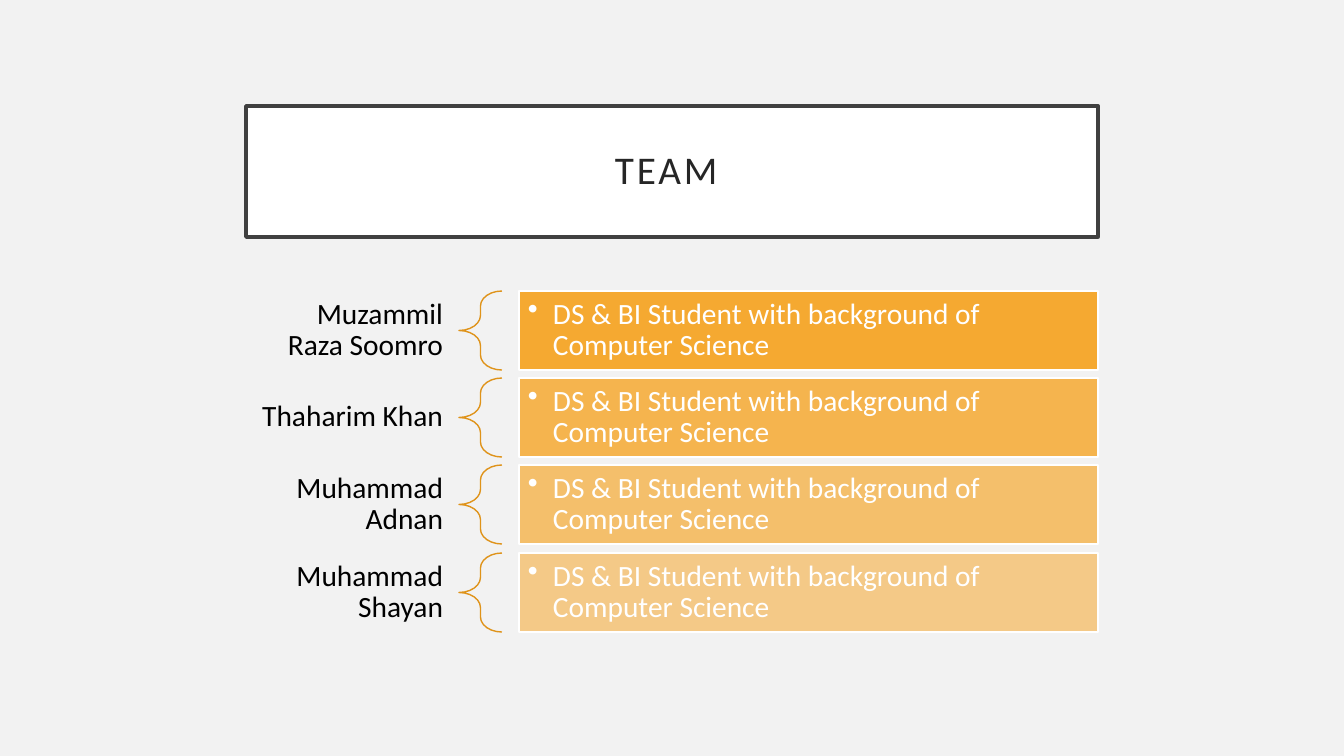
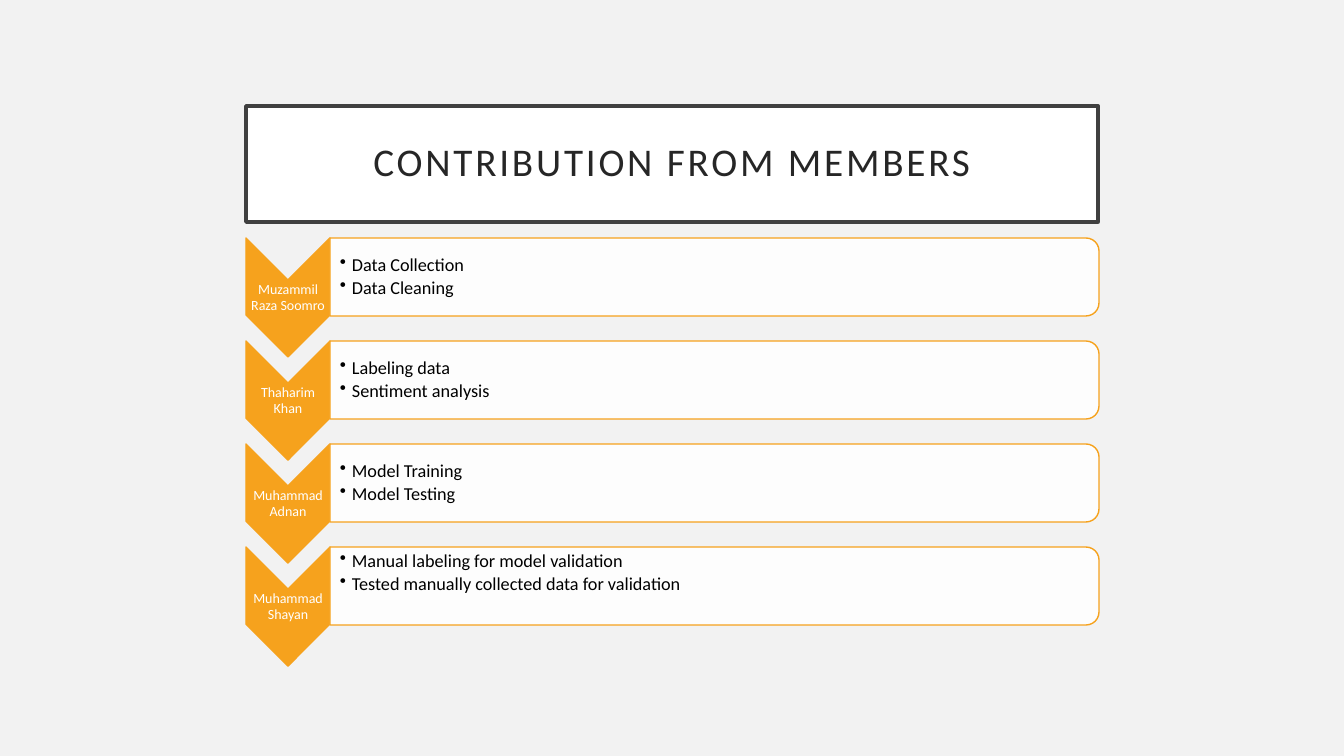
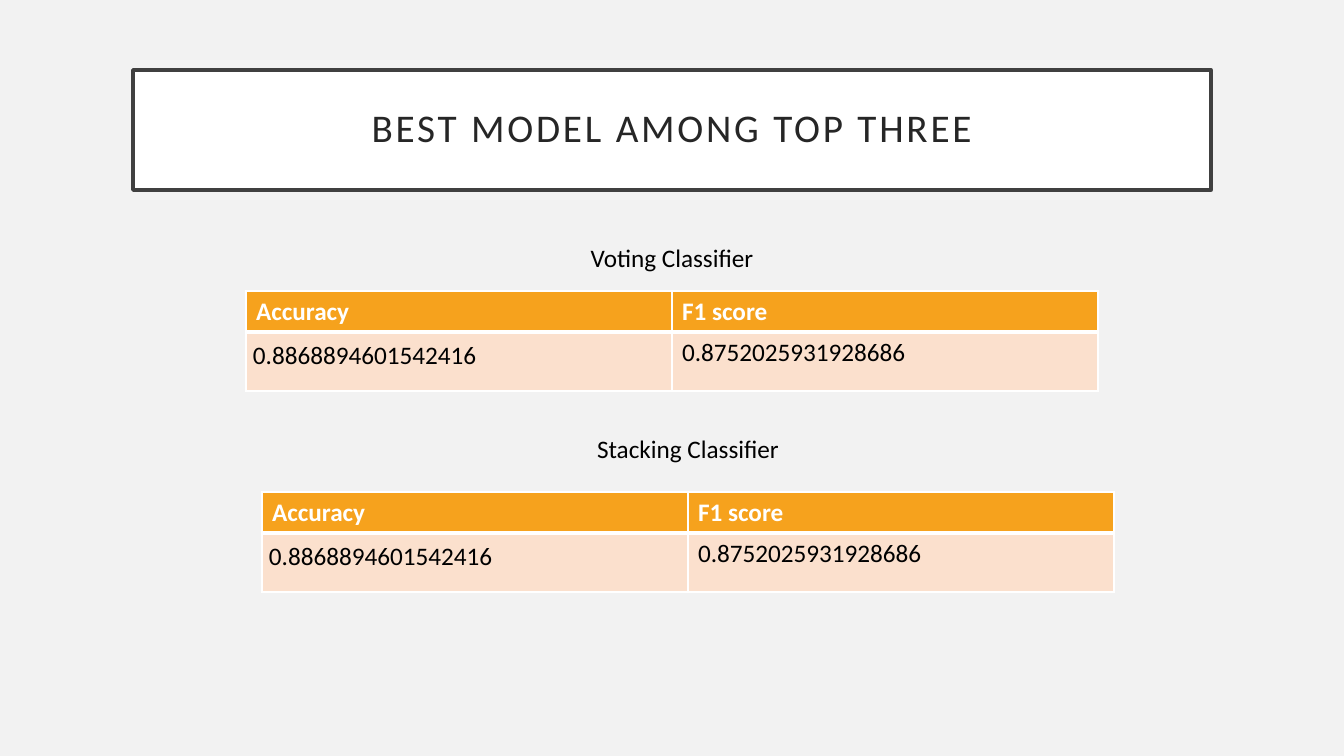
from dataclasses import dataclass

from lxml.etree import SubElement
from pptx import Presentation
from pptx.dml.color import RGBColor
from pptx.enum.shapes import MSO_SHAPE
from pptx.enum.text import MSO_ANCHOR, MSO_AUTO_SIZE, PP_ALIGN
from pptx.oxml.ns import qn
from pptx.util import Emu, Pt


@dataclass(frozen=True)
class Theme:
    font: str = "Calibri"
    background: str = "F2F2F2"
    white: str = "FFFFFF"
    black: str = "000000"
    accent: str = "F6A21D"
    brace: str = "DF931A"
    cell: str = "FBE0CD"
    title_text: str = "262626"
    title_line: str = "404040"
    title_size: int = 28
    team_size: int = 21
    table_size: int = 18
    task_size: int = 13
    chevron_size: int = 10


THEME = Theme()
TITLE_ONLY = 5

MEMBERS = ["Muzammil Raza Soomro", "Thaharim Khan",
           "Muhammad Adnan", "Muhammad Shayan"]
BACKGROUND_TEXT = "DS & BI Student with background of Computer Science"
BAR_OPACITY = [90, 77, 63, 50]
TASKS = [
    ["Data Collection", "Data Cleaning"],
    ["Labeling data", "Sentiment analysis"],
    ["Model Training", "Model Testing"],
    ["Manual labeling for model validation",
     "Tested manually collected data for validation"],
]
SCORES = [("Accuracy", "0.8868894601542416"),
          ("F1 score", "0.8752025931928686")]


# Units and layout
def px(n):
    return Emu(round(n * 914400 / 100.8))


def rgb(color):
    return RGBColor.from_string(color)


def spread(first, last, count):
    """Evenly spaced whole positions from first to last."""
    return [first + (last - first) * i // (count - 1) for i in range(count)]


# Text
def format_text(tf, size, color, align=PP_ALIGN.LEFT, bold=False,
                anchor=MSO_ANCHOR.MIDDLE, insets=(0, 0, 0, 0)):
    tf.word_wrap = True
    tf.auto_size = MSO_AUTO_SIZE.NONE
    tf.vertical_anchor = anchor
    (tf.margin_left, tf.margin_top,
     tf.margin_right, tf.margin_bottom) = map(px, insets)
    for p in tf.paragraphs:
        p.alignment = align
        p.line_spacing = 0.9
        format_runs(p, size, color, bold)


def format_runs(p, size, color, bold=False):
    for r in p.runs:
        r.font.name = THEME.font
        r.font.size = Pt(size)
        r.font.bold = bold
        r.font.color.rgb = rgb(color)


def add_bullets(tf, indent):
    for p in tf.paragraphs:
        p.space_after = Pt(2)
        pPr = p._p.get_or_add_pPr()
        pPr.set("marL", str(px(indent)))
        pPr.set("indent", str(-px(indent)))
        SubElement(pPr, qn("a:buChar")).set("char", "•")


def add_text(s, box, text, size, color, **options):
    tb = s.shapes.add_textbox(*map(px, box))
    tb.text_frame.text = text
    format_text(tb.text_frame, size, color, **options)
    return tb


# Shapes
def add_shape(s, kind, box, line, fill=None, opacity=100):
    sp = s.shapes.add_shape(kind, *map(px, box))
    sp.shadow.inherit = False
    sp.line.color.rgb = rgb(line)
    sp.line.width = Pt(1)
    if fill is None:
        sp.fill.background()
        return sp
    sp.fill.solid()
    sp.fill.fore_color.rgb = rgb(fill)
    if opacity < 100:
        color = sp._element.spPr.find(qn("a:solidFill")).find(qn("a:srgbClr"))
        SubElement(color, qn("a:alpha")).set("val", str(opacity * 1000))
    return sp


def add_turned_shape(s, kind, box, line, fill, opacity=100):
    """A shape turned by 90 degrees that covers box as seen."""
    left, top, width, height = box
    shift = (width - height) / 2
    sp = add_shape(s, kind, (left + shift, top - shift, height, width),
                   line, fill, opacity)
    sp.rotation = 90
    return sp


# Slide with the boxed title
def add_slide(prs, title, box):
    s = prs.slides.add_slide(prs.slide_layouts[TITLE_ONLY])
    sp = s.shapes.title
    sp.left, sp.top, sp.width, sp.height = map(px, box)
    sp.fill.solid()
    sp.fill.fore_color.rgb = rgb(THEME.white)
    sp.line.color.rgb = rgb(THEME.title_line)
    sp.line.width = Pt(2.5)
    sp.text_frame.text = title
    format_text(sp.text_frame, THEME.title_size, THEME.title_text,
                align=PP_ALIGN.CENTER, insets=(20, 20, 20, 20))
    for r in sp.text_frame.paragraphs[0].runs:
        r.font._element.set("spc", "200")
    return s


# Tables
def set_borders(cell, bottom):
    tcPr = cell._tc.get_or_add_tcPr()
    widths = {"a:lnL": 1, "a:lnR": 1, "a:lnT": 1, "a:lnB": bottom}
    for tag, width in widths.items():
        ln = SubElement(tcPr, qn(tag))
        ln.set("w", str(Pt(width)))
        fill = SubElement(ln, qn("a:solidFill"))
        SubElement(fill, qn("a:srgbClr")).set("val", THEME.white)


def fill_cell(cell, text, fill, color, bold=False, bottom=1):
    set_borders(cell, bottom)
    cell.fill.solid()
    cell.fill.fore_color.rgb = rgb(fill)
    cell.text_frame.text = text
    format_runs(cell.text_frame.paragraphs[0], THEME.table_size, color, bold)


def add_scores(s, left, top):
    table = s.shapes.add_table(2, len(SCORES), px(left), px(top),
                               px(852), px(100)).table
    table.rows[0].height, table.rows[1].height = px(41), px(59)
    for column, (name, value) in enumerate(SCORES):
        fill_cell(table.cell(0, column), name, THEME.accent, THEME.white,
                  bold=True, bottom=3)
        fill_cell(table.cell(1, column), value, THEME.cell, THEME.black)
    accuracy = table.cell(1, 0)
    accuracy.margin_left, accuracy.margin_top = px(7), px(9)


# Slides
def team_slide(prs):
    s = add_slide(prs, "TEAM ", (246, 106, 852, 131))
    tops = spread(291, 553, len(MEMBERS))
    for name, top, opacity in zip(MEMBERS, tops, BAR_OPACITY):
        add_text(s, (246, top + 2, 213, 75), name, THEME.team_size,
                 THEME.black, align=PP_ALIGN.RIGHT, insets=(16, 6, 16, 6))
        brace = add_shape(s, MSO_SHAPE.LEFT_BRACE, (459, top, 43, 79),
                          THEME.brace)
        brace.adjustments[0] = 0.35
        bar = add_shape(s, MSO_SHAPE.RECTANGLE, (519, top, 579, 79),
                        THEME.white, THEME.accent, opacity)
        bar.text_frame.text = BACKGROUND_TEXT
        format_text(bar.text_frame, THEME.team_size, THEME.white,
                    insets=(9, 9, 9, 9))
        add_bullets(bar.text_frame, 25)


def contribution_slide(prs):
    s = add_slide(prs, "CONTRIBUTION FROM MEMBERS", (246, 106, 852, 116))
    tops = spread(238, 547, len(MEMBERS))
    for name, tasks, top in zip(MEMBERS, TASKS, tops):
        add_turned_shape(s, MSO_SHAPE.CHEVRON, (246, top, 84, 119),
                         THEME.accent, THEME.accent)
        add_text(s, (246, top + 42, 84, 36), name, THEME.chevron_size,
                 THEME.white, align=PP_ALIGN.CENTER, insets=(1, 1, 1, 1))
        add_turned_shape(s, MSO_SHAPE.ROUND_2_SAME_RECTANGLE,
                         (330, top, 769, 78), THEME.accent, THEME.white, 90)
        # The last member's tasks start at the top of the panel
        anchor = MSO_ANCHOR.TOP if tasks is TASKS[-1] else MSO_ANCHOR.MIDDLE
        tb = add_text(s, (330, top + 4, 765, 70), "\n".join(tasks),
                      THEME.task_size, THEME.black, anchor=anchor,
                      insets=(10, 1, 1, 1))
        add_bullets(tb.text_frame, 12)


def best_model_slide(prs):
    s = add_slide(prs, "BEST MODEL AMONG TOP THREE", (133, 70, 1078, 120))
    for caption, left, caption_top, table_top in [
            ("Voting Classifier", 246, 244, 291),
            ("Stacking Classifier", 262, 435, 492)]:
        add_text(s, (left + 90, caption_top, 672, 31), caption,
                 THEME.table_size, THEME.black, align=PP_ALIGN.CENTER)
        add_scores(s, left, table_top)


def main():
    prs = Presentation()
    prs.slide_width, prs.slide_height = px(1344), px(756)
    background = prs.slide_master.background.fill
    background.solid()
    background.fore_color.rgb = rgb(THEME.background)
    team_slide(prs)
    contribution_slide(prs)
    best_model_slide(prs)
    prs.save("out.pptx")


if __name__ == "__main__":
    main()
